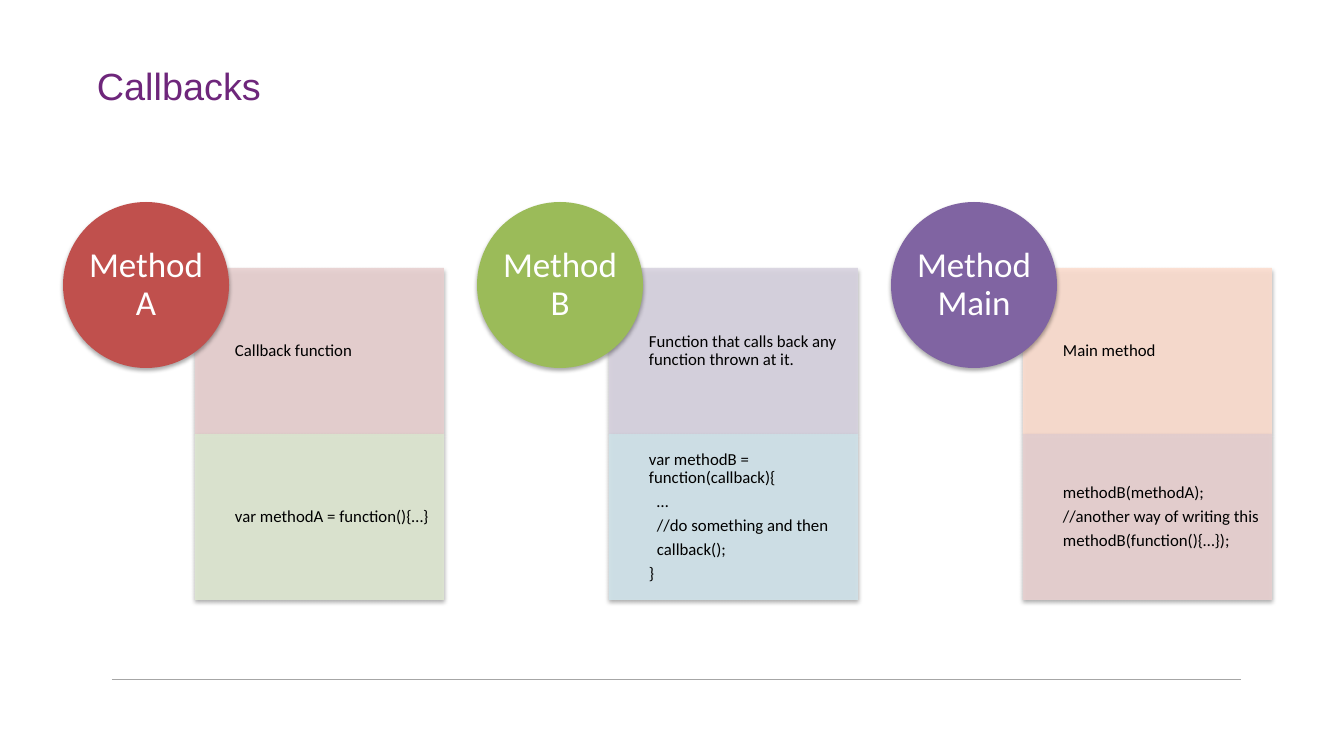
"""Build the Callbacks slide: three methods, each with a role and its code."""
from lxml import etree
from pptx import Presentation
from pptx import util as u
from pptx.dml.color import RGBColor
from pptx.enum import shapes, text
from pptx.oxml import ns

PURPLE = RGBColor(0x6E, 0x26, 0x7B)
GREY = RGBColor(0xA6, 0xA6, 0xA6)
BLACK = RGBColor(0x00, 0x00, 0x00)
WHITE = RGBColor(0xFF, 0xFF, 0xFF)
RED = RGBColor(0xC0, 0x50, 0x4D)
GREEN = RGBColor(0x9B, 0xBB, 0x59)
VIOLET = RGBColor(0x80, 0x64, 0xA2)
PALE_RED = RGBColor(0xE8, 0xD0, 0xD0)
PALE_GREEN = RGBColor(0xDE, 0xE7, 0xD1)
PALE_VIOLET = RGBColor(0xD8, 0xD3, 0xE0)
PALE_BLUE = RGBColor(0xD0, 0xE3, 0xEA)
PALE_ORANGE = RGBColor(0xFC, 0xDD, 0xCF)

LEFT, CENTER = text.PP_ALIGN.LEFT, text.PP_ALIGN.CENTER
TITLE = {"font": {"name": "Arial", "size": u.Pt(27)}, "paragraph": {"alignment": LEFT}}
CARD = {
    "font": {"name": "Calibri", "size": u.Pt(12)},
    "paragraph": {"alignment": LEFT, "line_spacing": 0.9, "space_after": u.Pt(4.2)},
}
BADGE = {
    "font": {"name": "Calibri", "size": u.Pt(25)},
    "paragraph": {"alignment": CENTER, "line_spacing": 0.9, "space_after": u.Pt(8.75)},
}

COLUMN_STEP, BADGE_SIZE, CARD_WIDTH = 414, 166, 249
METHODS = [
    ("Method A", RED, [
        (PALE_RED, [("Callback function", 0)]),
        (PALE_GREEN, [("var methodA = function(){…}", 0)]),
    ]),
    ("Method B", GREEN, [
        (PALE_VIOLET, [("Function that calls back any function thrown at it.", 0)]),
        (PALE_BLUE, [("var methodB = function(callback){", 0), ("…", 1),
                     ("//do something and then", 1), ("callback();", 1), ("}", 0)]),
    ]),
    ("Method Main", VIOLET, [
        (PALE_ORANGE, [("Main method", 0)]),
        (PALE_RED, [("methodB(methodA);", 0), ("//another way of writing this", 0),
                    ("methodB(function(){…});", 0)]),
    ]),
]


def px(length):
    """Turn pixels into EMU."""
    return u.Emu(round(length * 914400 / 100.8))


def assign(target, values):
    """Set every named attribute on the target."""
    for name, value in values.items():
        setattr(target, name, value)


class Deck:
    """Holds the presentation, its style and the current slide."""

    def __init__(self):
        """Start a wide presentation with one blank slide."""
        self.show = Presentation()
        assign(self.show, {"slide_width": px(1344), "slide_height": px(756)})
        self.slide = self.show.slides.add_slide(self.show.slide_layouts[6])

    def label(self, shape, lines, style, color, margins):
        """Fill a shape with (words, indent level) lines."""
        frame = shape.text_frame
        sides = ("margin_left", "margin_top", "margin_right", "margin_bottom")
        assign(frame, dict(zip(sides, map(px, margins))))
        assign(frame, {"word_wrap": True, "vertical_anchor": text.MSO_ANCHOR.MIDDLE})
        for index, (words, level) in enumerate(lines):
            paragraph = frame.add_paragraph() if index else frame.paragraphs[0]
            assign(paragraph, style["paragraph"])
            if level:
                paragraph._p.get_or_add_pPr().set("marL", str(px(8 * level)))
            run = paragraph.add_run()
            run.text = words
            assign(run.font, style["font"])
            run.font.color.rgb = color

    def title(self, words, box):
        """Add the slide title."""
        heading = self.slide.shapes.add_textbox(*map(px, box))
        self.label(heading, [(words, 0)], TITLE, PURPLE, (29, 5, 10, 5))

    def rule(self, left, right, top):
        """Add a thin horizontal line."""
        footer = self.slide.shapes.add_connector(
            shapes.MSO_CONNECTOR.STRAIGHT, px(left), px(top), px(right), px(top))
        footer.line.color.rgb = GREY
        footer.line.width = u.Pt(0.75)
        etree.SubElement(footer._element.spPr, ns.qn("a:effectLst"))

    def solid(self, kind, box, color):
        """Add a filled shape without outline and with a soft shadow below."""
        shape = self.slide.shapes.add_shape(kind, *map(px, box))
        shape.fill.solid()
        shape.fill.fore_color.rgb = color
        shape.line.fill.background()
        shape.shadow.inherit = False
        effects = shape._element.spPr.find(ns.qn("a:effectLst"))
        shadow = etree.SubElement(effects, ns.qn("a:outerShdw"), blurRad="40000",
                                  dist="23000", dir="5400000", rotWithShape="0")
        shade = etree.SubElement(shadow, ns.qn("a:srgbClr"), val=str(BLACK))
        etree.SubElement(shade, ns.qn("a:alpha"), val="35000")
        return shape

    def card(self, box, color, lines):
        """Add a slightly transparent rectangle with text."""
        card = self.solid(shapes.MSO_SHAPE.RECTANGLE, box, color)
        tint = card._element.spPr.find(f"{ns.qn('a:solidFill')}/{ns.qn('a:srgbClr')}")
        etree.SubElement(tint, ns.qn("a:alpha"), val="90000")
        self.label(card, lines, CARD, BLACK, (40, 9, 9, 9))

    def badge(self, box, color, name):
        """Add a circle with the name of a method."""
        badge = self.solid(shapes.MSO_SHAPE.OVAL, box, color)
        self.label(badge, [(name, 0)], BADGE, WHITE, (0, 0, 0, 0))


def main():
    """Draw the slide and save it."""
    deck = Deck()
    deck.rule(112, 1241, 680)
    deck.title("Callbacks", (68, 50, 1210, 71))
    for column, (name, color, cards) in enumerate(METHODS):
        left = 63 + column * COLUMN_STEP
        for row, (tint, lines) in enumerate(cards):
            top = 268 + row * BADGE_SIZE
            deck.card((left + 132, top, CARD_WIDTH, BADGE_SIZE), tint, lines)
        deck.badge((left, 202, BADGE_SIZE, BADGE_SIZE), color, name)
    deck.show.save("out.pptx")


if __name__ == "__main__":
    main()
